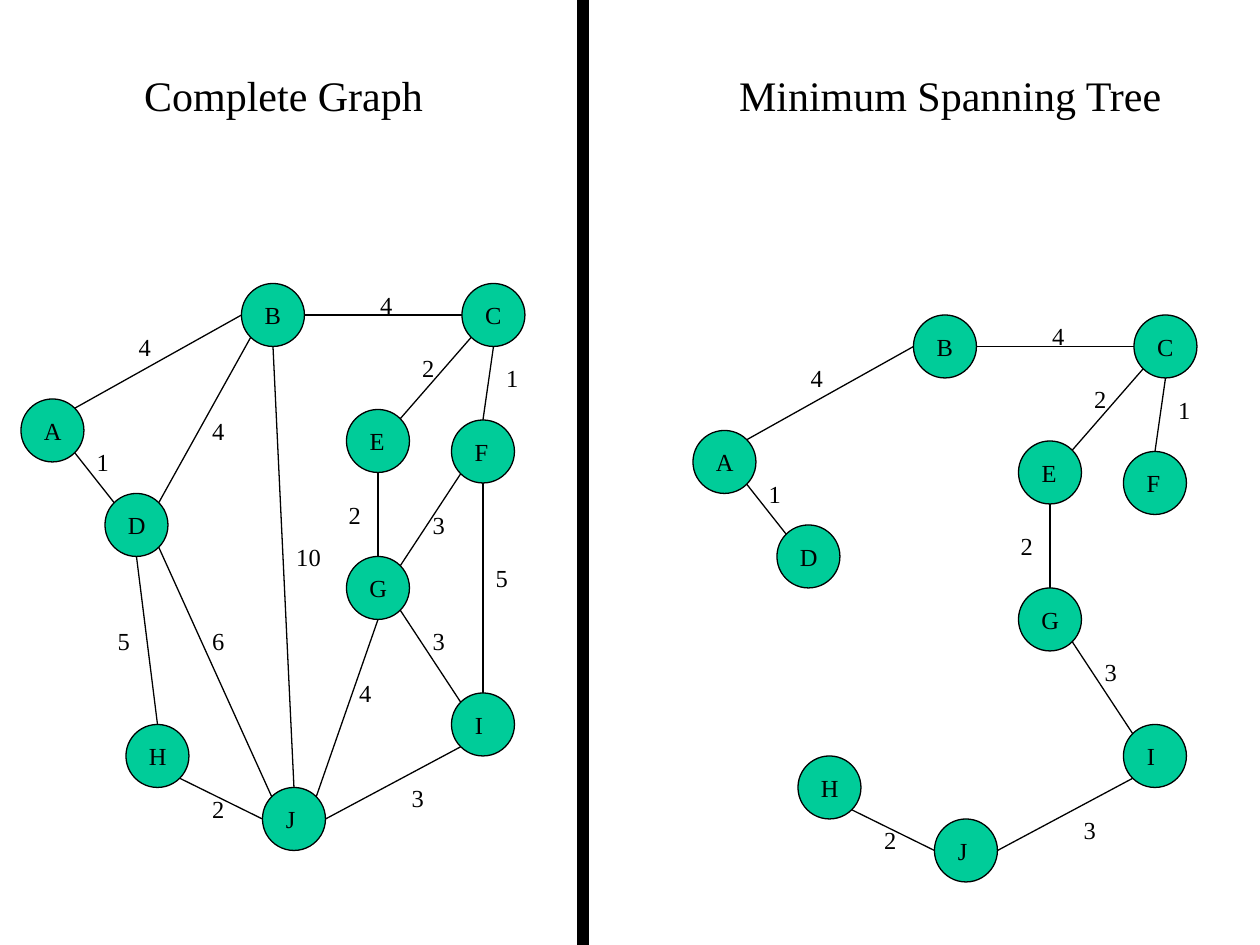
from math import sqrt

from lxml.etree import SubElement
from pptx import Presentation
from pptx.dml.color import RGBColor
from pptx.enum.shapes import MSO_CONNECTOR, MSO_SHAPE
from pptx.enum.text import MSO_AUTO_SIZE, PP_ALIGN
from pptx.oxml.ns import qn
from pptx.util import Cm, Pt

BLACK = RGBColor(0x00, 0x00, 0x00)
GREEN = RGBColor(0x00, 0xCC, 0x99)

TEXT_FORMAT = {"name": "Times New Roman"}
NODE_SIZE = 6  # grid steps
LABEL_HEIGHT = 4

# Node: column and row in the graph box, width of its letter in cm
NODES = {
    "A": (0, 11, 0.86), "B": (21, 0, 0.84), "C": (42, 0, 0.84),
    "D": (8, 20, 0.86), "E": (31, 12, 0.81), "F": (41, 13, 0.79),
    "G": (31, 26, 0.86), "H": (10, 42, 0.86), "I": (41, 39, 0.69),
    "J": (23, 48, 0.71),
}

# Edge: side it leaves, side it reaches, weight, column and row of the weight
EDGES = {
    "AB": ("NE", "W", 4, 10, 4), "BC": ("E", "W", 4, 33, 0),
    "AD": ("SE", "NW", 1, 6, 15), "BD": ("SW", "NE", 4, 17, 12),
    "BJ": ("S", "N", 10, 25, 24), "CE": ("SW", "NE", 2, 37, 6),
    "CF": ("S", "N", 1, 45, 7), "EG": ("S", "N", 2, 30, 20),
    "FG": ("SW", "NE", 3, 38, 21), "FI": ("S", "N", 5, 44, 26),
    "GI": ("SE", "NW", 3, 38, 32), "GJ": ("S", "NE", 4, 31, 37),
    "IJ": ("SW", "E", 3, 36, 47), "HJ": ("SE", "W", 2, 17, 48),
    "DH": ("S", "N", 5, 8, 32), "DJ": ("SE", "NW", 6, 17, 32),
}
TREE_EDGES = ["AB", "BC", "AD", "CE", "CF", "EG", "GI", "IJ", "HJ"]


def grid(steps):
    """Twelve grid steps make 2.54 cm."""
    return Cm(steps * 2.54 / 12)


def add_text(s, text, x, y, width, height, size, wrap=False):
    tf = s.shapes.add_textbox(grid(x), grid(y), width, grid(height)).text_frame
    for key, value in {"word_wrap": wrap,
                       "auto_size": MSO_AUTO_SIZE.SHAPE_TO_FIT_TEXT}.items():
        setattr(tf, key, value)
    p = tf.paragraphs[0]
    p.alignment = PP_ALIGN.CENTER
    r = p.add_run()
    r.text = text
    for key, value in {**TEXT_FORMAT, "size": Pt(size)}.items():
        setattr(r.font, key, value)
    r.font.color.rgb = BLACK


def add_filled(s, kind, x, y, width, height, color):
    sp = s.shapes.add_shape(kind, grid(x), grid(y), grid(width), grid(height))
    sp.shadow.inherit = False
    sp.fill.solid()
    sp.fill.fore_color.rgb = color
    sp.line.color.rgb = BLACK
    sp.line.width = Pt(0.75)


def node_side(node, side):
    """Point on the rim of a node at a compass direction."""
    x, y, _ = NODES[node]
    radius = NODE_SIZE / 2
    reach = radius / sqrt(len(side))
    dx = ("E" in side) - ("W" in side)
    dy = ("S" in side) - ("N" in side)
    return x + radius + dx * reach, y + radius + dy * reach


def draw_graph(s, left, top, edges):
    # Edges and their weights
    for edge in edges:
        start, end, weight, col, row = EDGES[edge]
        (x1, y1), (x2, y2) = node_side(edge[0], start), node_side(edge[1], end)
        line = s.shapes.add_connector(
            MSO_CONNECTOR.STRAIGHT, grid(left + x1), grid(top + y1),
            grid(left + x2), grid(top + y2))
        line.line.color.rgb = BLACK
        line.line.width = Pt(0.75)
        SubElement(line._element.spPr, qn("a:effectLst"))
        width = Cm(0.51 + 0.25 * len(str(weight)))
        add_text(s, str(weight), left + col, top + row, width, LABEL_HEIGHT, 14)

    # Nodes and their letters
    for letter, (col, row, width) in NODES.items():
        x, y = left + col, top + row
        add_filled(s, MSO_SHAPE.OVAL, x, y, NODE_SIZE, NODE_SIZE, GREEN)
        add_text(s, letter, x + 1, y + 1, Cm(width), LABEL_HEIGHT, 14)


def draw_title(s, text, left, top, width):
    add_text(s, text, left, top, grid(width), 6, 24, wrap=True)


prs = Presentation()
prs.slide_width, prs.slide_height = Cm(25.4), Cm(19.05)
s = prs.slides.add_slide(prs.slide_layouts[6])

# Divider
add_filled(s, MSO_SHAPE.RECTANGLE, 55, 0, 1, 90, BLACK)

# Left half
draw_title(s, "Complete Graph", 4, 6, 46)
draw_graph(s, 2, 27, EDGES)

# Right half
draw_title(s, "Minimum Spanning Tree", 69, 6, 43)
draw_graph(s, 66, 30, TREE_EDGES)

prs.save("out.pptx")
